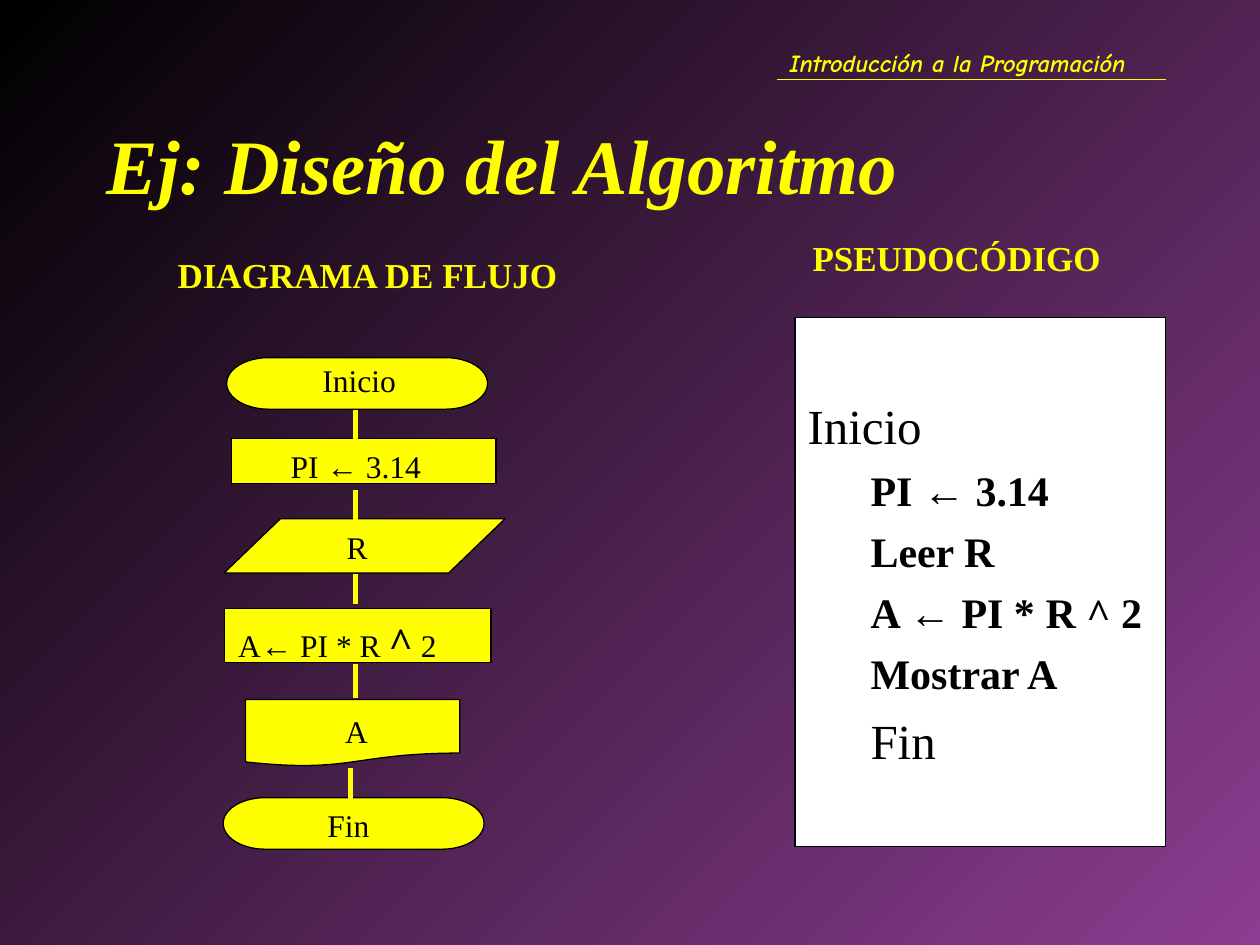
from lxml.etree import SubElement
from pptx import Presentation
from pptx.dml.color import RGBColor
from pptx.enum.shapes import MSO_CONNECTOR, MSO_SHAPE
from pptx.enum.text import MSO_ANCHOR, MSO_AUTO_SIZE, PP_ALIGN
from pptx.oxml.ns import qn
from pptx.util import Cm, Pt

YELLOW, BLACK, WHITE, PURPLE = "FFFF00", "000000", "FFFFFF", "8C3D91"
SERIF, ARROW_FONT, HEADER_FONT = "Times New Roman", "Arial", "Comic Neue"

TITLE = "Ej: Diseño del Algoritmo"
HEADER = "Introducción a la Programación"
HEADINGS = [  # text, (left, top, width, height)
    ("PSEUDOCÓDIGO", (16.13, 4.65, 6.45, 1.12)),
    ("DIAGRAMA DE FLUJO", (3.33, 4.98, 8.99, 1.12)),
]
CARET = {"size": 24, "bold": True}
STEPS = [  # symbol, its box, label box, label indent, label parts
    (MSO_SHAPE.FLOWCHART_TERMINATOR, (4.57, 7.21, 5.26, 1.04),
     (6.25, 7.16, 3.23, 1.02), 0, [("Inicio", {})]),
    (MSO_SHAPE.RECTANGLE, (4.67, 8.84, 5.33, 0.91),
     (5.61, 8.89, 3.68, 1.02), 0, [("PI ← 3.14", {})]),
    (MSO_SHAPE.FLOWCHART_DATA, (4.52, 10.46, 5.66, 1.09),
     (5.49, 10.52, 3.68, 1.02), 1.25, [("R", {})]),
    (MSO_SHAPE.FLOWCHART_PROCESS, (4.52, 12.27, 5.38, 1.09),
     (4.55, 12.29, 5.38, 1.27), 0, [("A← PI * R ", {}), ("^", CARET), (" 2", {})]),
    (MSO_SHAPE.FLOWCHART_DOCUMENT, (4.95, 14.1, 4.32, 1.35),
     (5.16, 14.22, 3.86, 1.02), 1.55, [("A", {})]),
    (MSO_SHAPE.FLOWCHART_TERMINATOR, (4.5, 16.08, 5.26, 1.04),
     (6.35, 16.13, 3.23, 1.02), 0, [("Fin", {})]),
]
LINKS = [  # x, top, bottom
    (7.16, 8.26, 8.84),
    (7.16, 9.88, 10.49),
    (7.16, 11.58, 12.17),
    (7.16, 13.39, 14.07),
    (7.06, 15.49, 16.1),
]
OUTER = {"size": 28, "before": 7}
INNER = {"size": 24, "before": 6, "bold": True, "indent": 1.27}
PSEUDOCODE = [
    ("Inicio", OUTER),
    ("PI ← 3.14", INNER),
    ("Leer R", INNER),
    ("A ← PI * R ^ 2", INNER),
    ("Mostrar A", INNER),
    ("Fin", {**OUTER, "indent": 1.27}),
]


def rgb(color):
    return RGBColor.from_string(color)


def write(paragraph, text, size=18, font=SERIF, color=BLACK, bold=False,
          italic=False, indent=0, before=0):
    """Append text to a paragraph, setting any arrow in its own font."""
    paragraph.alignment = PP_ALIGN.LEFT
    paragraph.space_before = Pt(before)
    if indent:
        properties = paragraph._p.get_or_add_pPr()
        properties.set("marL", str(Cm(indent)))
        properties.set("indent", "0")
    for part in text.partition("←"):
        if part:
            run = paragraph.add_run()
            run.text = part
            run.font.name = ARROW_FONT if part == "←" else font
            run.font.size = Pt(size)
            run.font.bold, run.font.italic = bold, italic
            run.font.color.rgb = rgb(color)


def add_label(slide, box, parts, **style):
    frame = slide.shapes.add_textbox(*map(Cm, box)).text_frame
    frame.word_wrap = True
    for text, extra in parts:
        write(frame.paragraphs[0], text, **{**style, **extra})


def add_symbol(slide, symbol, box, fill):
    shape = slide.shapes.add_shape(symbol, *map(Cm, box))
    shape.shadow.inherit = False
    shape.fill.solid()
    shape.fill.fore_color.rgb = rgb(fill)
    shape.line.color.rgb = rgb(BLACK)
    shape.line.width = Pt(0.75)
    return shape


def add_line(slide, ends, width):
    line = slide.shapes.add_connector(MSO_CONNECTOR.STRAIGHT, *map(Cm, ends))
    line.line.color.rgb = rgb(YELLOW)
    line.line.width = Pt(width)
    SubElement(line._element.spPr, qn("a:effectLst"))


def add_background(slide):
    fill = slide.background.fill
    fill.gradient()
    fill.gradient_angle = 315
    for stop, color in zip(fill.gradient_stops, (BLACK, PURPLE)):
        stop.color.rgb = rgb(color)


def add_title(slide):
    title = slide.shapes.title
    title.left, title.top, title.width, title.height = map(Cm, (1.9, 1.7, 21.59, 3.18))
    frame = title.text_frame
    frame.auto_size = MSO_AUTO_SIZE.NONE
    frame.vertical_anchor = MSO_ANCHOR.MIDDLE
    write(frame.paragraphs[0], TITLE, size=44, color=YELLOW, bold=True, italic=True)


def add_flowchart(slide):
    for symbol, box, label_box, indent, parts in STEPS:
        add_symbol(slide, symbol, box, YELLOW)
        add_label(slide, label_box, parts, indent=indent)
    for x, top, bottom in LINKS:
        add_line(slide, (x, top, x, bottom), 3)


def add_pseudocode(slide):
    panel = add_symbol(slide, MSO_SHAPE.RECTANGLE, (16.03, 6.4, 7.47, 10.67), WHITE)
    frame = panel.text_frame
    frame.word_wrap = True
    frame.vertical_anchor = MSO_ANCHOR.MIDDLE
    for number, (text, style) in enumerate(PSEUDOCODE):
        paragraph = frame.add_paragraph() if number else frame.paragraphs[0]
        write(paragraph, text, **style)


def main():
    deck = Presentation()
    deck.slide_width, deck.slide_height = Cm(25.4), Cm(19.05)
    slide = deck.slides.add_slide(deck.slide_layouts[5])
    add_background(slide)
    add_label(slide, (15.67, 0.84, 8.25, 0.86), [(HEADER, {})], size=14,
              font=HEADER_FONT, color=YELLOW, bold=True, italic=True)
    add_line(slide, (15.67, 1.6, 23.5, 1.6), 0.75)
    add_title(slide)
    for text, box in HEADINGS:
        add_label(slide, box, [(text, {})], size=20, color=YELLOW, bold=True)
    add_flowchart(slide)
    add_pseudocode(slide)
    deck.save("out.pptx")


if __name__ == "__main__":
    main()
